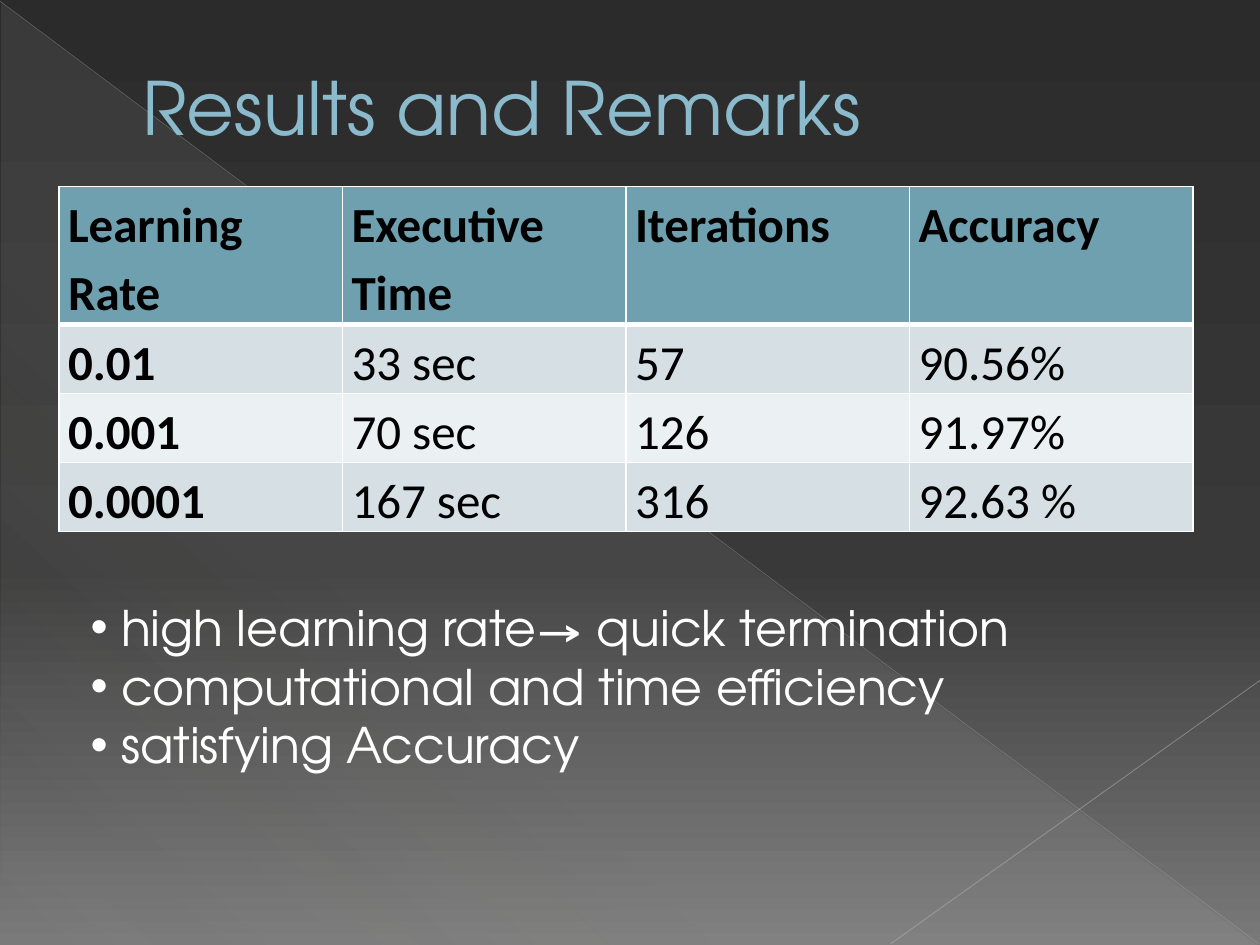
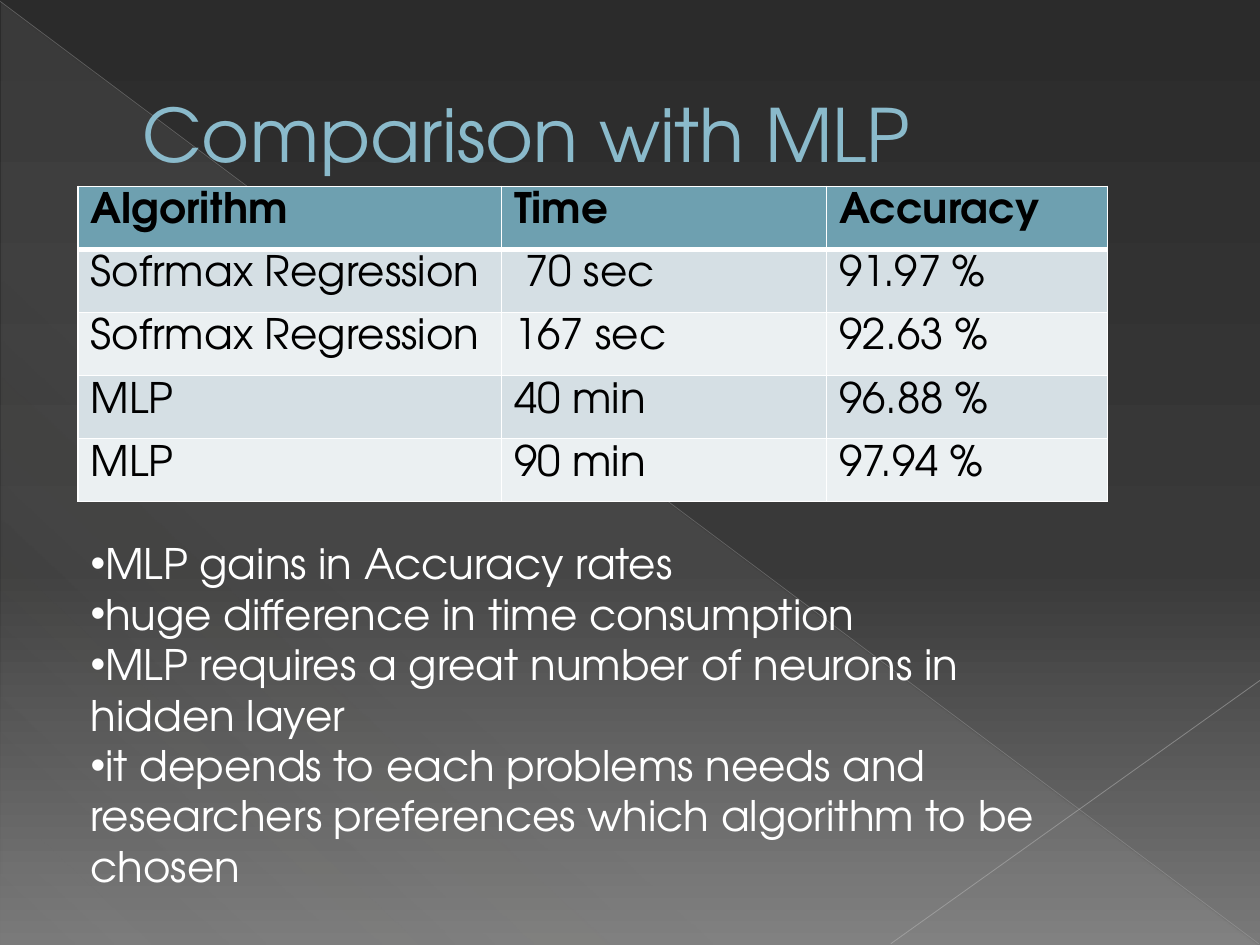
from lxml import etree
from pptx import Presentation
from pptx import util as u
from pptx.dml import color
from pptx.enum import shapes, text
from pptx.oxml import ns

COLS, ROWS = 100, 75
UNIT = u.Inches(0.1)
FACE = "TeX Gyre Adventor"
SKY, TEAL, INK, WHITE = "8ABACB", "6EA0B0", "000000", "FFFFFF"
BANDS = ["D5DFE4", "EBF0F2"]
NIGHT = [(0, "2B2B2B", 100), (60, "393939", 100), (100, "797979", 100)]
VEIL = [(0, "D4D2D0", 10), (70, "D4D2D0", 8), (100, "D4D2D0", 1)]
MARGIN = ["margin_left", "margin_right", "margin_top", "margin_bottom"]


def grid(*cells):
    """Turn grid units into lengths."""
    return [round(cell * UNIT) for cell in cells]


def form(item, **values):
    """Set format values on an object."""
    for name, value in values.items():
        setattr(item, name, value)


def node(home, tag, **marks):
    """Add an XML element with attributes."""
    return etree.SubElement(home, ns.qn(tag), {k: str(v) for k, v in marks.items()})


def tint(home, code, alpha=100):
    """Add a colour in XML, with its opacity in percent."""
    hue = node(home, "a:srgbClr", val=code)
    if alpha < 100:
        node(hue, "a:alpha", val=alpha * 1000)


def paint(fill, code):
    """Fill with one colour."""
    fill.solid()
    fill.fore_color.rgb = color.RGBColor.from_string(code)


def blend(fill, home, stops, angle):
    """Fill with a linear gradient."""
    fill.solid()
    flat = home.find(ns.qn("a:solidFill"))
    grad = etree.Element(ns.qn("a:gradFill"), rotWithShape="1")
    group = node(grad, "a:gsLst")
    for place, code, alpha in stops:
        tint(node(group, "a:gs", pos=place * 1000), code, alpha)
    node(grad, "a:lin", ang=angle * 60000, scaled=0)
    home.replace(flat, grad)


def stroke(home, tag, width, code, alpha=100):
    """Add a solid line in XML and return it."""
    line = node(home, tag, w=round(width * 12700))
    tint(node(line, "a:solidFill"), code, alpha)
    return line


def write(para, words, code, **look):
    """Put one styled run in a paragraph."""
    run = para.add_run()
    run.text = words
    form(run.font, **look)
    paint(run.font.fill, code)
    return run


def ray(slide, start, end, width, code, alpha):
    """Draw a thin clear line."""
    line = slide.shapes.add_connector(
        shapes.MSO_CONNECTOR.STRAIGHT, *grid(*start, *end))
    props = line._element.spPr
    stroke(props, "a:ln", width, code, alpha)
    node(props, "a:effectLst")


def scene(slide, box):
    """Draw the backdrop, its veil and its two rays."""
    x, y, w, h = box
    back = slide.background.fill
    blend(back, slide._element.cSld.bg.bgPr, NIGHT, 90)
    veil = slide.shapes.add_shape(
        shapes.MSO_SHAPE.RIGHT_TRIANGLE, *grid(x + 0.1, y + 0.2, w - 0.2, h - 0.2))
    veil.shadow.inherit = False
    veil.line.fill.background()
    blend(veil.fill, veil._element.spPr, VEIL, 133)
    ray(slide, (x, y + 0.1), (x + w - 0.1, y + h - 0.1), 0.39, "B7B7B7", 35)
    ray(slide, (x + w, y + 0.72 * h), (x + w - 29.3, y + h - 0.1), 0.47, "BFBFBF", 45)


def title(slide, box, words):
    """Write the slide title."""
    frame = slide.shapes.add_textbox(*grid(*box)).text_frame
    form(frame, word_wrap=True, vertical_anchor=text.MSO_ANCHOR.MIDDLE)
    para = frame.paragraphs[0]
    para._p.get_or_add_pPr().set("marL", str(grid(5.3)[0]))
    run = write(para, words, SKY, name=FACE, size=u.Pt(42))
    props = run._r.get_or_add_rPr()
    props.insert(0, stroke(props, "a:ln", 0.5, "4C6F7A"))


def edges(cell, row):
    """Rule a cell, with a thick line under the head."""
    props = cell._tc.get_or_add_tcPr()
    thick = {(0, "B"), (1, "T")}
    for spot, side in enumerate("LRTB"):
        line = stroke(props, "a:ln" + side, 3 if (row, side) in thick else 1, WHITE)
        props.insert(spot, line)


def chart(slide, box, data, widths, heights, pads, lead, bold, **look):
    """Draw a banded table, with a bold first column if asked."""
    frame = slide.shapes.add_table(len(data), len(widths), *grid(*box))
    table = frame.table
    for col, width in zip(table.columns, grid(*widths)):
        col.width = width
    for row, height in zip(table.rows, grid(*heights)):
        row.height = height
    side, cap = pads
    gaps = dict(zip(MARGIN, grid(side, side, cap, cap)))
    for r, line in enumerate(data):
        for c, words in enumerate(line):
            cell = table.cell(r, c)
            form(cell, **gaps)
            paint(cell.fill, BANDS[(r - 1) % 2] if r else TEAL)
            edges(cell, r)
            para = cell.text_frame.paragraphs[0]
            para.line_spacing = lead
            write(para, words, INK, bold=r == 0 or (bold and c == 0), **look)


def notes(slide, box, lines, size):
    """Write the bulleted remarks."""
    frame = slide.shapes.add_textbox(*grid(*box)).text_frame
    form(frame, word_wrap=True, auto_size=text.MSO_AUTO_SIZE.SHAPE_TO_FIT_TEXT)
    for spot, words in enumerate(lines):
        para = frame.add_paragraph() if spot else frame.paragraphs[0]
        props = para._p.get_or_add_pPr()
        node(props, "a:buFont", typeface="Arial")
        node(props, "a:buChar", char="•")
        write(para, words, WHITE, name=FACE, size=u.Pt(size))


def start(deck, words, height):
    """Add a slide with the backdrop and a title."""
    slide = deck.slides.add_slide(deck.slide_layouts[6])
    scene(slide, (0, 0, COLS, ROWS))
    title(slide, (5, 2.9, 90, height), words)
    return slide


def main():
    """Build and save the deck."""
    deck = Presentation()
    wide, high = grid(COLS, ROWS)
    form(deck, slide_width=wide, slide_height=high)

    slide = start(deck, "Results and Remarks", 11.1)
    data = [
        ["Learning Rate", "Executive Time", "Iterations", "Accuracy"],
        ["0.01", "33 sec", "57", "90.56%"],
        ["0.001", "70 sec", "126", "91.97%"],
        ["0.0001", "167 sec", "316", "92.63 %"],
    ]
    chart(slide, (4.7, 14.8, 90, 27.4), data, [22.5] * 4, [10.96] + [5.48] * 3,
          (0.7, 0), 1.15, True, name="Calibri", size=u.Pt(28))
    notes(slide, (6.2, 46.9, 85.2, 15.1), [
        " high learning rate→ quick termination",
        " computational and time efficiency",
        " satisfying Accuracy",
    ], 28)

    slide = start(deck, "Comparison with MLP", 15.3)
    data = [
        ["Algorithm", "Time", "Accuracy"],
        ["Sofrmax Regression", " 70 sec", "91.97 %"],
        ["Sofrmax Regression", "167 sec", "92.63 %"],
        ["MLP", "40 min", "96.88 %"],
        ["MLP", "90 min", "97.94 %"],
    ]
    chart(slide, (6.2, 14.8, 81.7, 20.5), data, [33.6, 25.8, 22.3], [4.1] * 5,
          (1, 0.5), None, False, name=FACE, size=u.Pt(24))
    notes(slide, (6.2, 42.2, 80.5, 29.3), [
        "MLP gains in Accuracy rates",
        "huge difference in time consumption",
        "MLP requires a great number of neurons in hidden layer",
        "it depends to each problems needs and researchers preferences "
        "which algorithm to be chosen",
    ], 24)
    deck.save("out.pptx")


main()
